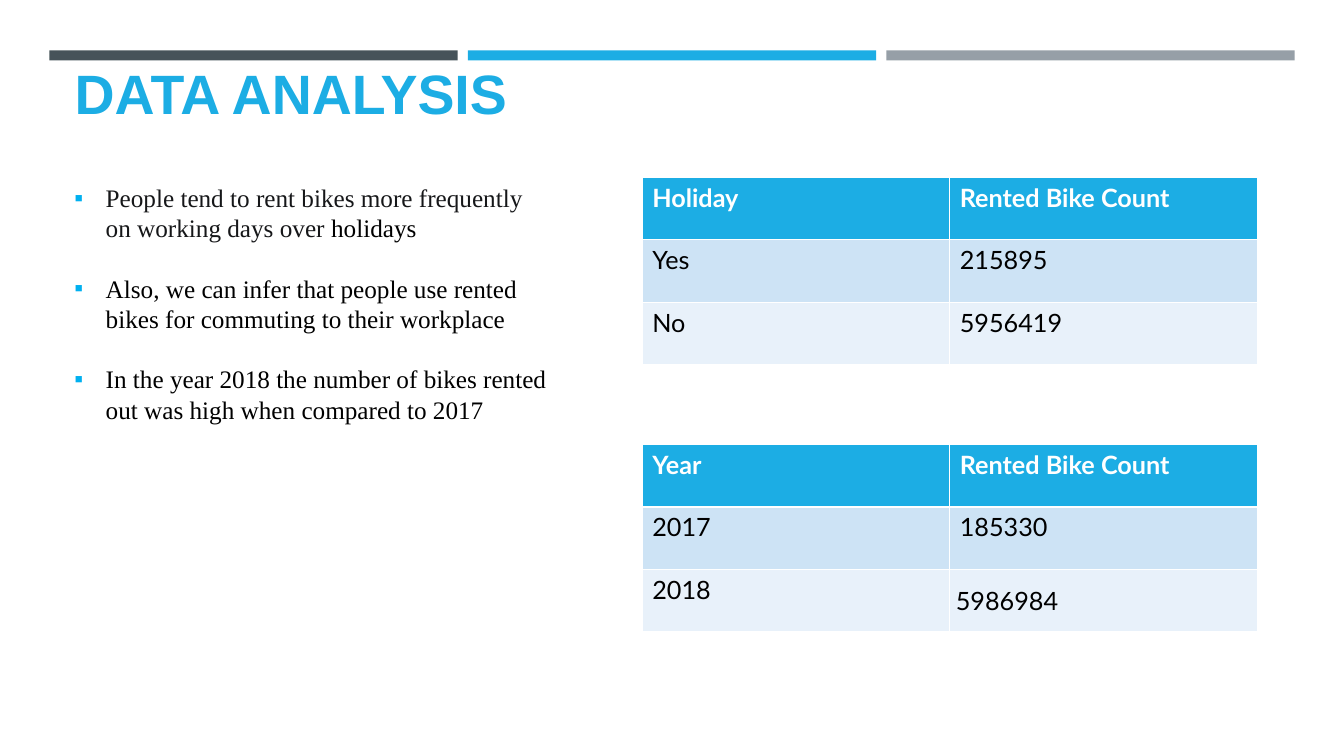
from lxml.etree import SubElement
from pptx import Presentation
from pptx.dml.color import RGBColor
from pptx.enum.shapes import MSO_SHAPE as Shape
from pptx.enum.text import MSO_ANCHOR as Anchor, MSO_AUTO_SIZE as AutoSize, PP_ALIGN as Align
from pptx.oxml.ns import qn
from pptx.util import Inches, Pt

SLATE = RGBColor(0x46, 0x53, 0x59)
BLUE = RGBColor(0x1C, 0xAD, 0xE4)
GREY = RGBColor(0x96, 0x9F, 0xA7)
INK = RGBColor(0x16, 0x17, 0x19)
BLACK = RGBColor(0, 0, 0)
WHITE = RGBColor(0xFF, 0xFF, 0xFF)
BULLET_BLUE = RGBColor(0x00, 0xB0, 0xF0)
PALE_BLUE = RGBColor(0xCD, 0xE3, 0xF5)
PALER_BLUE = RGBColor(0xE8, 0xF1, 0xFA)

LINE_PITCH = Pt(21.6)


def style_run(span, font, size, color, bold=False):
    span.font.name = font
    span.font.size = Pt(size)
    span.font.color.rgb = color
    span.font.bold = bold


def add_bullet(para):
    """Give the paragraph a hanging indent and a small square bullet."""
    properties = para._p.get_or_add_pPr()
    properties.set("marL", str(Inches(0.31)))
    properties.set("indent", str(-Inches(0.31)))
    color = SubElement(properties, qn("a:buClr"))
    SubElement(color, qn("a:srgbClr"), val=str(BULLET_BLUE))
    SubElement(properties, qn("a:buFont"), typeface="Arial")
    SubElement(properties, qn("a:buChar"), char="▪")


deck = Presentation()
deck.slide_width = Inches(13.33)
deck.slide_height = Inches(7.5)
page = deck.slides.add_slide(deck.slide_layouts[5])

# Three bars across the top
for index, color in enumerate([SLATE, BLUE, GREY]):
    bar = page.shapes.add_shape(
        Shape.RECTANGLE, Inches(0.49 + 4.15 * index), Inches(0.5), Inches(4.05), Inches(0.1))
    bar.shadow.inherit = False
    bar.fill.solid()
    bar.fill.fore_color.rgb = color
    bar.line.fill.background()

# Title
title = page.shapes.title
title.left, title.top = Inches(0.64), Inches(0.72)
title.width, title.height = Inches(12.06), Inches(0.58)
title.text_frame.text = "DATA ANALYSIS"
title.text_frame.auto_size = AutoSize.NONE
title.text_frame.vertical_anchor = Anchor.BOTTOM
title.text_frame.paragraphs[0].alignment = Align.LEFT
style_run(title.text_frame.paragraphs[0].runs[0], "Arial", 39.6, BLUE, bold=True)

# Findings
findings = [
    [("People tend to rent bikes more frequently on working days over", INK),
     (" holidays", BLACK)],
    [("Also, we can infer that people use rented bikes for commuting to their workplace", BLACK)],
    [("In the year 2018 the number of bikes rented out was high when compared to 2017", BLACK)],
]
box = page.shapes.add_textbox(Inches(0.64), Inches(1.76), Inches(4.88), Inches(3.13))
frame = box.text_frame
frame.word_wrap = True
for index, finding in enumerate(findings):
    para = frame.add_paragraph() if index else frame.paragraphs[0]
    para.line_spacing = LINE_PITCH
    if index:
        para.space_before = LINE_PITCH
    add_bullet(para)
    for text, color in finding:
        span = para.add_run()
        span.text = text
        style_run(span, "Times New Roman", 18, color)

# Rental counts
count_tables = [
    (1.76, [("Holiday", "Rented Bike Count"), ("Yes", "215895"), ("No", "5956419")]),
    (4.41, [("Year", "Rented Bike Count"), ("2017", "185330"), ("2018", "5986984")]),
]
row_fills = [BLUE, PALE_BLUE, PALER_BLUE]
for top, rows in count_tables:
    table = page.shapes.add_table(
        3, 2, Inches(6.37), Inches(top), Inches(6.1), Inches(1.86)).table
    for row_index, (row, fill) in enumerate(zip(rows, row_fills)):
        is_header = row_index == 0
        for column_index, text in enumerate(row):
            cell = table.cell(row_index, column_index)
            cell.fill.solid()
            cell.fill.fore_color.rgb = fill
            cell.text_frame.text = text
            style_run(cell.text_frame.paragraphs[0].runs[0], "Lato", 18,
                      WHITE if is_header else BLACK, bold=is_header)

# The last count of the second table sits mid-height with tighter margins
last_cell = table.cell(2, 1)
last_cell.vertical_anchor = Anchor.MIDDLE
last_cell.margin_left = last_cell.margin_right = Inches(0.06)
last_cell.margin_top = last_cell.margin_bottom = Inches(0.03)

deck.save("out.pptx")
